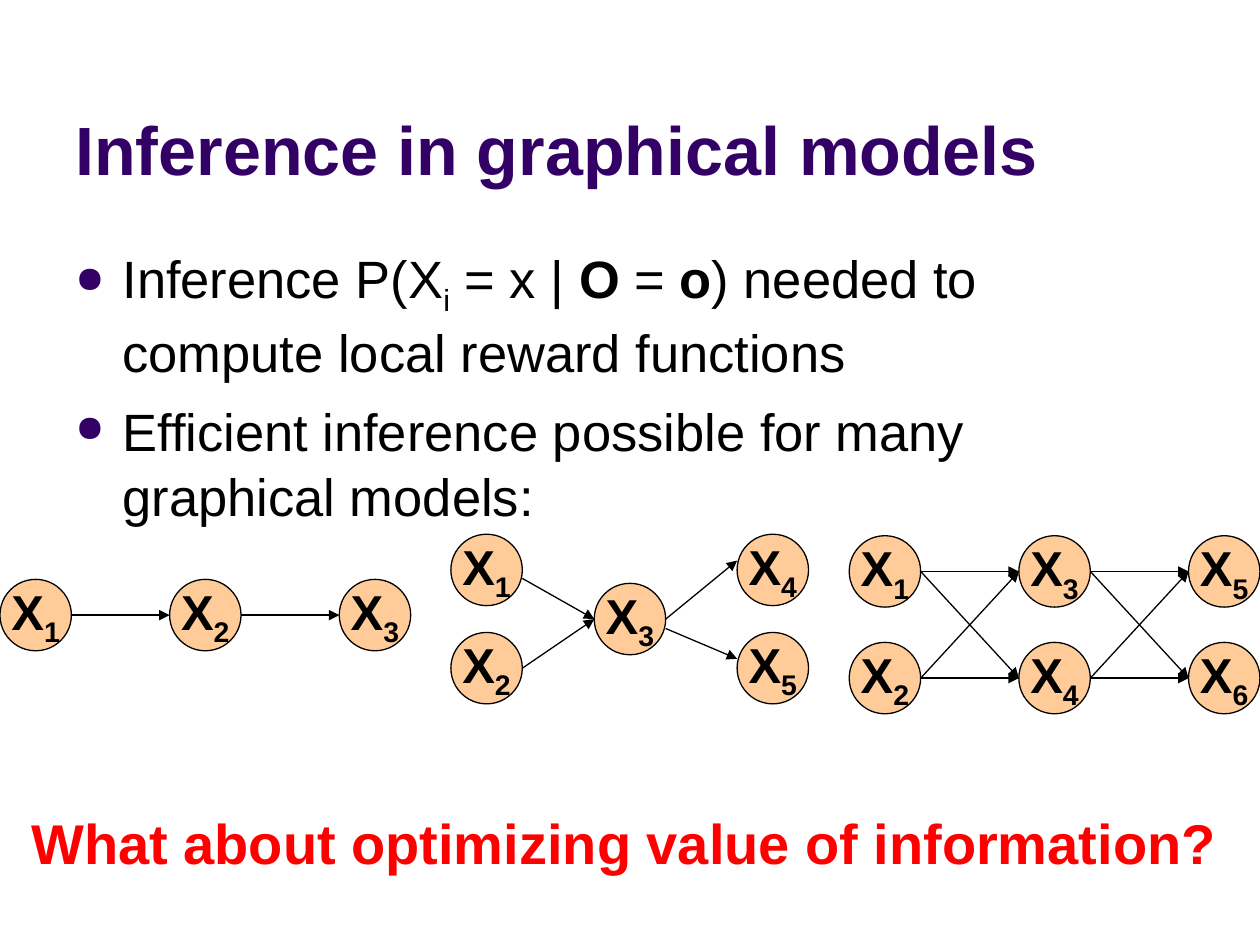
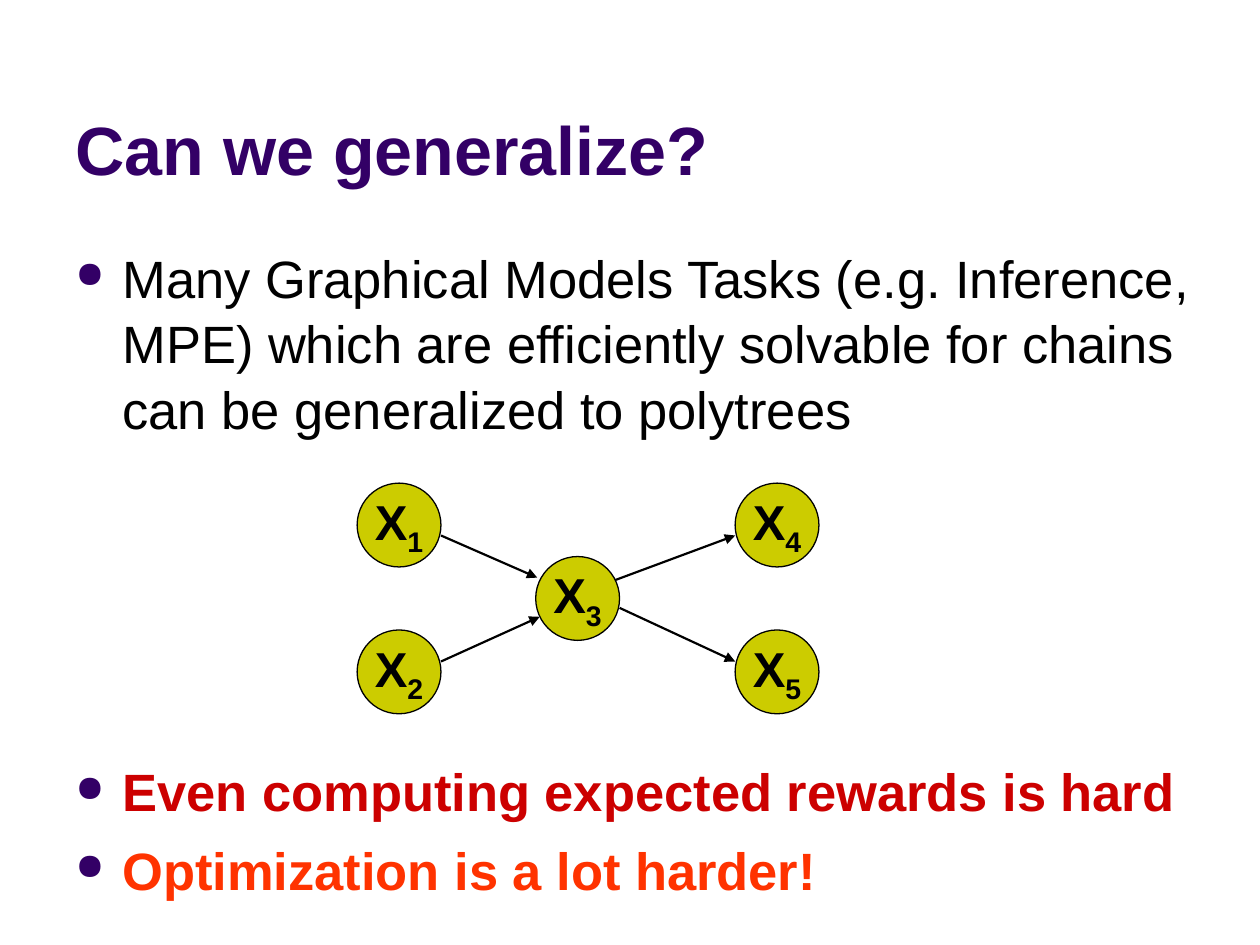
from itertools import product

from lxml import etree
from pptx import Presentation
from pptx.dml.color import RGBColor
from pptx.enum import shapes as kinds, text as styles
from pptx.oxml import ns
from pptx.util import Cm, Pt

COLORS = {
    "title": "330066", "text": "000000", "line": "000000",
    "peach": "FFCC99", "olive": "CCCC00",
    "question": "FF0000", "hard": "CC0000", "harder": "FF3300",
}
FONT = "Arial"
TITLE = {"size": Pt(39), "bold": True, "color": "title"}
BODY = {"size": Pt(30), "bold": False, "color": "text"}
QUESTION = {"size": Pt(32), "bold": True, "color": "question"}
NODE = {"size": Pt(28), "bold": True, "color": "text"}
SUBSCRIPT = {"baseline": "-25000"}
BOLD = {"bold": True}
HANGING = Cm(0.95)
NO_OFFSET = (0, 0)


def rgb(name):
    return RGBColor.from_string(COLORS[name])


def add_child(parent, tag, **attributes):
    child = etree.SubElement(parent, ns.qn(tag))
    for name, value in attributes.items():
        child.set(name, value)
    return child


def add_run(paragraph, content, style):
    run = paragraph.add_run()
    run.text = content
    run.font.name = FONT
    for name, value in style.items():
        if name == "color":
            run.font.color.rgb = rgb(value)
        elif name == "baseline":
            run.font._rPr.set("baseline", value)
        else:
            setattr(run.font, name, value)


def add_box(slide, left, top, width, height, **settings):
    box = slide.shapes.add_textbox(Cm(left), Cm(top), Cm(width), Cm(height))
    for name, value in {"word_wrap": True, **settings}.items():
        setattr(box.text_frame, name, value)
    return box.text_frame


def add_title(slide, content):
    frame = add_box(slide, 1.27, 0.33, 20.96, 3.61,
                    vertical_anchor=styles.MSO_ANCHOR.BOTTOM)
    add_run(frame.paragraphs[0], content, TITLE)


def set_bullet(paragraph):
    properties = paragraph._p.get_or_add_pPr()
    properties.set("marL", str(HANGING))
    properties.set("indent", str(-HANGING))
    color = add_child(properties, "a:buClr")
    add_child(color, "a:srgbClr", val=COLORS["title"])
    add_child(properties, "a:buSzPct", val="70000")
    add_child(properties, "a:buChar", char="●")


def add_bullets(slide, width, height, items):
    """Each item is (space before in points, [(text, style changes), ...])."""
    frame = add_box(slide, 1.27, 4.78, width, height)
    for index, (space, runs) in enumerate(items):
        paragraph = frame.add_paragraph() if index else frame.paragraphs[0]
        set_bullet(paragraph)
        paragraph.line_spacing = 1.04
        paragraph.space_before = Pt(space)
        for content, changes in runs:
            add_run(paragraph, content, {**BODY, **changes})


def add_node(shapes, number, left, top, size, fill):
    node = shapes.add_shape(kinds.MSO_SHAPE.OVAL, Cm(left), Cm(top), Cm(size), Cm(size))
    node.shadow.inherit = False
    node.fill.solid()
    node.fill.fore_color.rgb = rgb(fill)
    node.line.color.rgb = rgb("line")
    node.line.width = Pt(0.75)
    frame = node.text_frame
    frame.word_wrap = False
    frame.vertical_anchor = styles.MSO_ANCHOR.MIDDLE
    paragraph = frame.paragraphs[0]
    paragraph.alignment = styles.PP_ALIGN.CENTER
    add_run(paragraph, "X", NODE)
    add_run(paragraph, str(number), {**NODE, **SUBSCRIPT})
    return node


def add_arrow(shapes, source, target, start=NO_OFFSET, end=NO_OFFSET, weight=0.75):
    """Run from the source's right side to the target's left side, with offsets in cm."""
    arrow = shapes.add_connector(
        kinds.MSO_CONNECTOR.STRAIGHT,
        source.left + source.width + Cm(start[0]),
        source.top + source.height // 2 + Cm(start[1]),
        target.left + Cm(end[0]),
        target.top + target.height // 2 + Cm(end[1]))
    arrow.line.color.rgb = rgb("line")
    arrow.line.width = Pt(weight)
    add_child(arrow.line._get_or_add_ln(), "a:tailEnd", type="triangle", w="med", len="med")
    add_child(arrow._element.spPr, "a:effectLst")


def add_layers(shapes, left, tops, step, size, fill):
    """Three columns of nodes, each joined to every node of the next column."""
    columns = []
    for column in range(3):
        columns.append([
            add_node(shapes, column * len(tops) + row + 1, left + column * step, top, size, fill)
            for row, top in enumerate(tops)])
    for sources, targets in zip(columns, columns[1:]):
        for source, target in product(sources, targets):
            add_arrow(shapes, source, target)


def add_polytree(shapes, columns, tops, size, fill, offsets, weight):
    """Two parents, one middle node and two children; offsets are per arrow."""
    left, middle, right = columns
    upper, lower = tops
    places = [(left, upper), (left, lower), (middle, (upper + lower) / 2),
              (right, upper), (right, lower)]
    nodes = [add_node(shapes, number, *place, size, fill)
             for number, place in enumerate(places, 1)]
    edges = [(0, 2), (1, 2), (2, 3), (2, 4)]
    for (source, target), (start, end) in zip(edges, offsets):
        add_arrow(shapes, nodes[source], nodes[target], start, end, weight)


def build_inference(slide):
    add_title(slide, "Inference in graphical models")
    add_bullets(slide, 22.86, 6.02, [
        (0, [("Inference P(X", {}), ("i", SUBSCRIPT), (" = x | ", {}), ("O ", BOLD),
             ("= ", {}), ("o", BOLD), (") needed to compute local reward functions", {})]),
        (7.5, [("Efficient inference possible for many graphical models:", {})]),
    ])

    # Chain, polytree and lattice
    chain, polytree, lattice = (slide.shapes.add_group_shape().shapes for _ in range(3))
    size, step = 1.44, 3.42
    add_layers(chain, 0, [11.68], step, size, "peach")
    add_polytree(polytree, (9.09, 11.98, 14.86), (10.77, 12.75), size, "peach", [
        ((0, 0.17), NO_OFFSET), (NO_OFFSET, NO_OFFSET),
        (NO_OFFSET, (0, -0.19)), ((0, 0.19), (0, -0.19))], 0.75)
    add_layers(lattice, 17.12, [10.8, 12.95], step, size, "peach")

    # Closing question
    question = add_box(slide, 0.38, 16.18, 24.43, 1.63, word_wrap=False)
    add_run(question.paragraphs[0], "What about optimizing value of information?", QUESTION)


def build_generalize(slide):
    add_title(slide, "Can we generalize?")
    # The second bullet leaves room for the polytree
    add_bullets(slide, 24.13, 14.27, [
        (0, [("Many Graphical Models Tasks (e.g. Inference, MPE) which are efficiently "
              "solvable for chains can be generalized to polytrees", {})]),
        (181, [("Even computing expected rewards is hard", {**BOLD, "color": "hard"})]),
        (7.5, [("Optimization is a lot harder!", {**BOLD, "color": "harder"})]),
    ])
    add_polytree(slide.shapes, (7.2, 10.8, 14.82), (9.74, 12.7), 1.69, "olive", [
        ((0, 0.21), (0.03, -0.42)), ((0, -0.21), (0.08, 0.37)),
        ((-0.09, -0.37), (0, 0.21)), ((0, 0.19), (0, -0.21))], 1.25)


def main():
    presentation = Presentation()
    presentation.slide_width = Cm(25.4)
    presentation.slide_height = Cm(19.05)
    blank = presentation.slide_layouts[6]
    for build in (build_inference, build_generalize):
        build(presentation.slides.add_slide(blank))
    presentation.save("out.pptx")


if __name__ == "__main__":
    main()
